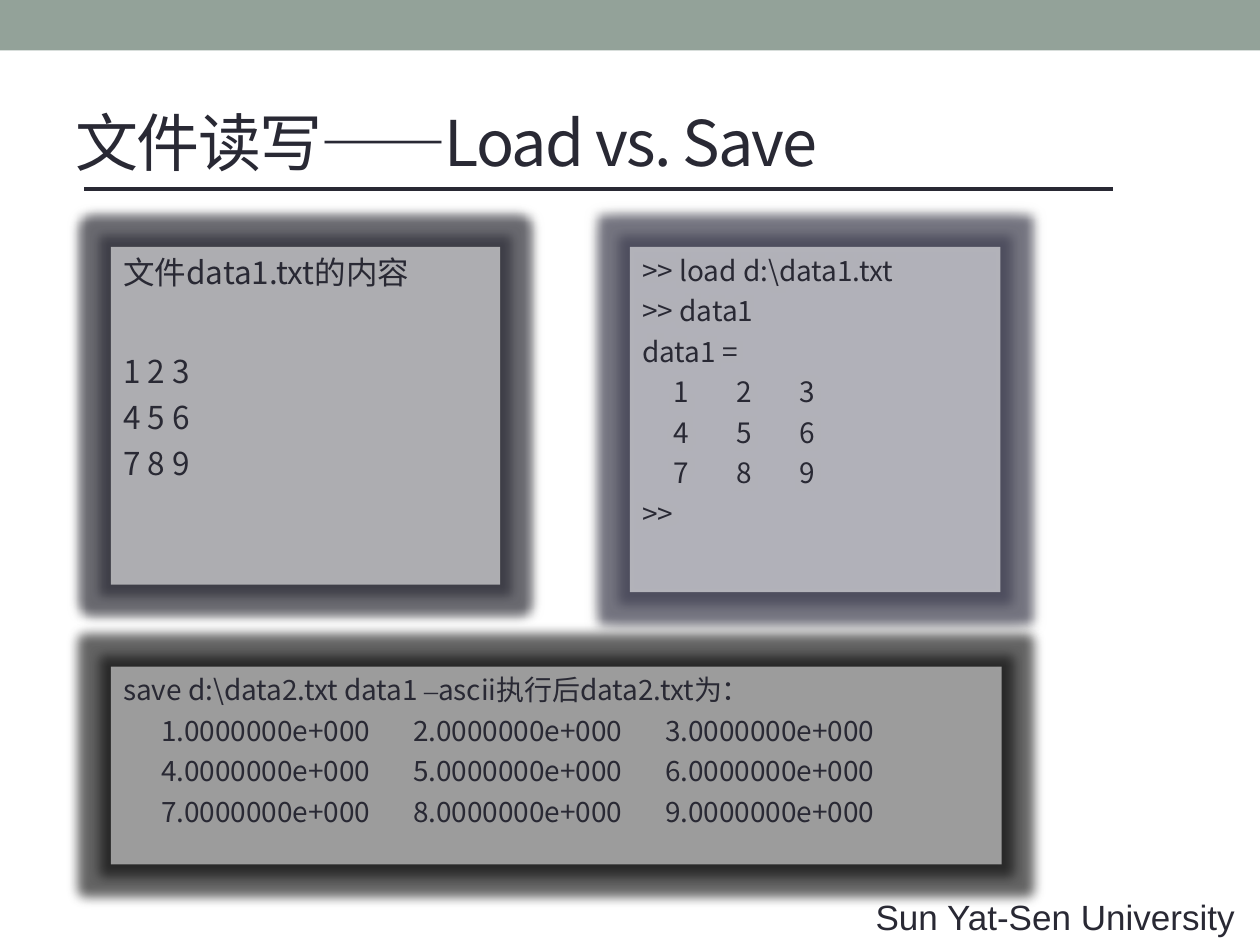
from lxml import etree
from pptx import Presentation
from pptx.dml.color import RGBColor
from pptx.enum.shapes import MSO_CONNECTOR, MSO_SHAPE
from pptx.enum.text import MSO_ANCHOR, PP_ALIGN
from pptx.oxml.ns import qn
from pptx.util import Inches, Pt

RECT, STRAIGHT = MSO_SHAPE.RECTANGLE, MSO_CONNECTOR.STRAIGHT
TOP, MIDDLE = MSO_ANCHOR.TOP, MSO_ANCHOR.MIDDLE
LEFT, CENTER = PP_ALIGN.LEFT, PP_ALIGN.CENTER
INK = RGBColor(0x29, 0x29, 0x34)
SAGE = RGBColor(0x93, 0xA2, 0x99)
WHITE = RGBColor(0xFF, 0xFF, 0xFF)
PALE = RGBColor(0xF2, 0xF2, 0xF2)
SLATE = RGBColor(0x3C, 0x3C, 0x50)
BLACK = RGBColor(0, 0, 0)
CJK, SERIF, SANS = "Noto Sans CJK SC", "Times New Roman", "Arial"

TITLE = "文件读写——Load vs. Save"
SCHOOL = "Sun Yat-Sen University"
PANELS = [
    dict(box=(0.88, 1.96, 3.09, 2.68), fill=WHITE, opacity=58, glow=INK, glow_opacity=57,
         size=18, heading=["文件data1.txt的内容"], gap=35,
         rows=["1 2 3", "4 5 6", "7 8 9"], indent=0, column=0, tail=[]),
    dict(box=(5, 1.96, 2.94, 2.74), fill=WHITE, opacity=57, glow=SLATE, glow_opacity=57,
         size=16, heading=[">> load d:\\data1.txt", ">> data1", "data1 ="], gap=4,
         rows=["1\t2\t3", "4\t5\t6", "7\t8\t9"], indent=0.25, column=0.37, tail=[">>"]),
    dict(box=(0.88, 5.29, 7.07, 1.57), fill=PALE, opacity=58, glow=BLACK, glow_opacity=50,
         size=16, heading=["save d:\\data2.txt data1 –ascii执行后data2.txt为："], gap=4,
         rows=["\t".join(f"{n}.0000000e+000" for n in range(k, k + 3)) for k in (1, 4, 7)],
         indent=0.3, column=1.76, tail=[]),
]


def add(parent, tag, **attrs):
    return etree.SubElement(parent, qn(tag), {k: str(v) for k, v in attrs.items()})


def format_run(r, size, font=CJK):
    r.font.size = Pt(size)
    r.font.name = font
    r.font.color.rgb = INK
    add(r.font._element, "a:ea", typeface=font)


def set_opacity(color, percent):
    add(color, "a:alpha", val=percent * 1000)


def add_rect(box, fill):
    sp = s.shapes.add_shape(RECT, *map(Inches, box))
    sp.fill.solid()
    sp.fill.fore_color.rgb = fill
    sp.line.fill.background()
    sp.shadow.inherit = False
    return sp


def add_halo(sp, color, opacity):
    effects = sp._element.spPr.find(qn("a:effectLst"))
    glow = add(effects, "a:glow", rad=Pt(12))
    set_opacity(add(glow, "a:srgbClr", val=color), opacity)
    shadow = add(effects, "a:outerShdw", blurRad=Pt(4), dist=0, algn="ctr", rotWithShape=0)
    set_opacity(add(shadow, "a:srgbClr", val=BLACK), 43)


def add_line(tf, index, text, size, before):
    p = tf.paragraphs[0] if index == 0 else tf.add_paragraph()
    p.alignment = LEFT
    p.space_before = Pt(before)
    start, dash, end = text.partition("–")
    for part, font in ((start, CJK), (dash, SERIF), (end, CJK)):
        if part:
            r = p.add_run()
            r.text = part
            format_run(r, size, font)
    return p


def add_panel(panel):
    sp = add_rect(panel["box"], panel["fill"])
    set_opacity(sp._element.spPr.find(qn("a:solidFill"))[0], panel["opacity"])
    add_halo(sp, panel["glow"], panel["glow_opacity"])
    tf = sp.text_frame
    tf.word_wrap = True
    tf.vertical_anchor = TOP
    size, heading, rows = panel["size"], panel["heading"], panel["rows"]
    for i, text in enumerate(heading + rows + panel["tail"]):
        before = 0 if i == 0 else panel["gap"] if i == len(heading) else size / 4
        p = add_line(tf, i, text, size, before)
        if text in rows and panel["column"]:
            pPr = p._p.get_or_add_pPr()
            pPr.set("marL", str(Inches(panel["indent"])))
            pPr.set("indent", "0")
            tabs = add(pPr, "a:tabLst")
            for k in (1, 2):
                add(tabs, "a:tab", pos=Inches(panel["indent"] + k * panel["column"]), algn="l")


prs = Presentation()
prs.slide_width, prs.slide_height = Inches(10), Inches(7.5)
s = prs.slides.add_slide(prs.slide_layouts[5])

add_rect((0, 0, 10, 0.4), SAGE)

title = s.shapes.title
title.left, title.top, title.width, title.height = map(Inches, (0.5, 0.58, 9, 1.08))
tf = title.text_frame
tf.text = TITLE
tf.vertical_anchor = MIDDLE
p = tf.paragraphs[0]
p.alignment = LEFT
format_run(p.runs[0], 36)
p.runs[0].font._element.set("spc", "-100")

for panel in PANELS:
    add_panel(panel)

rule = s.shapes.add_connector(STRAIGHT, *map(Inches, (0.67, 1.5, 8.83, 1.5)))
rule.line.color.rgb = INK
rule.line.width = Pt(1.75)
add(rule._element.spPr, "a:effectLst")

school = s.shapes.add_textbox(*map(Inches, (6.75, 7.06, 3.25, 0.44)))
tf = school.text_frame
tf.word_wrap = True
tf.text = SCHOOL
tf.paragraphs[0].alignment = CENTER
format_run(tf.paragraphs[0].runs[0], 20, SANS)

prs.save("out.pptx")
